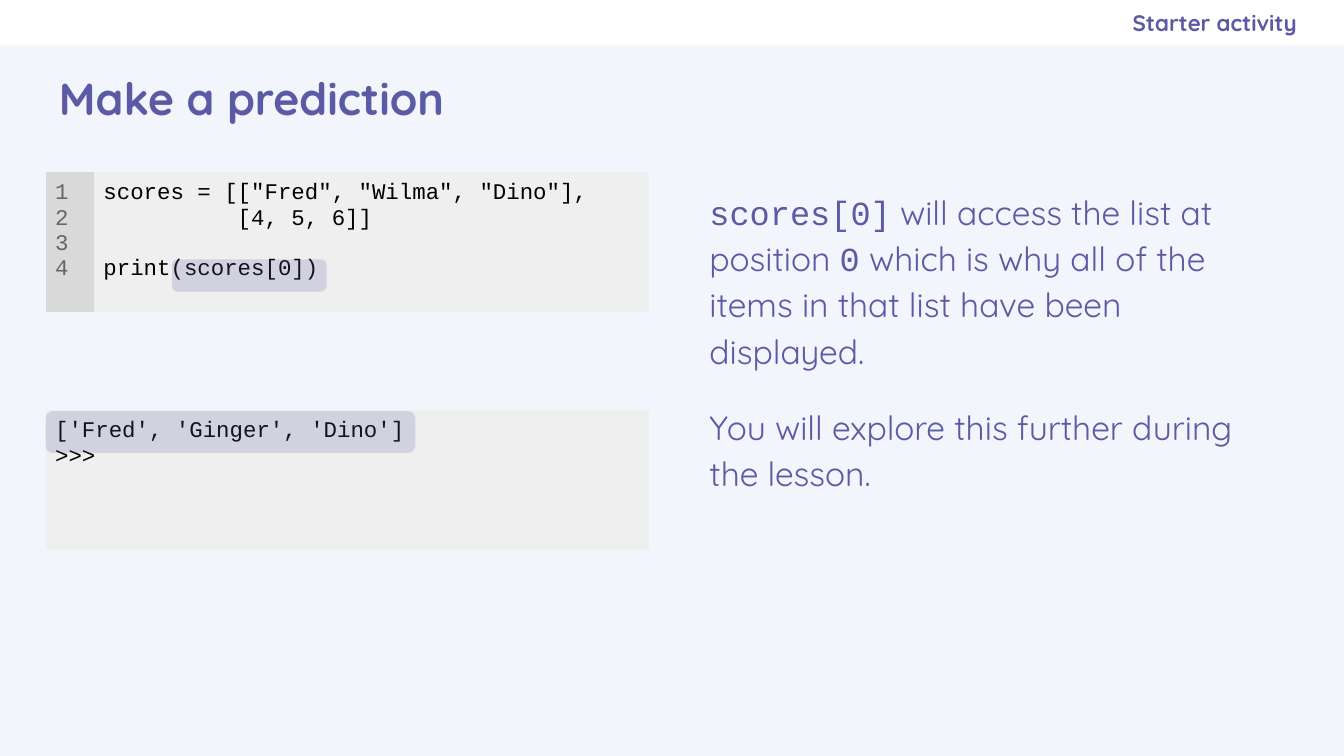
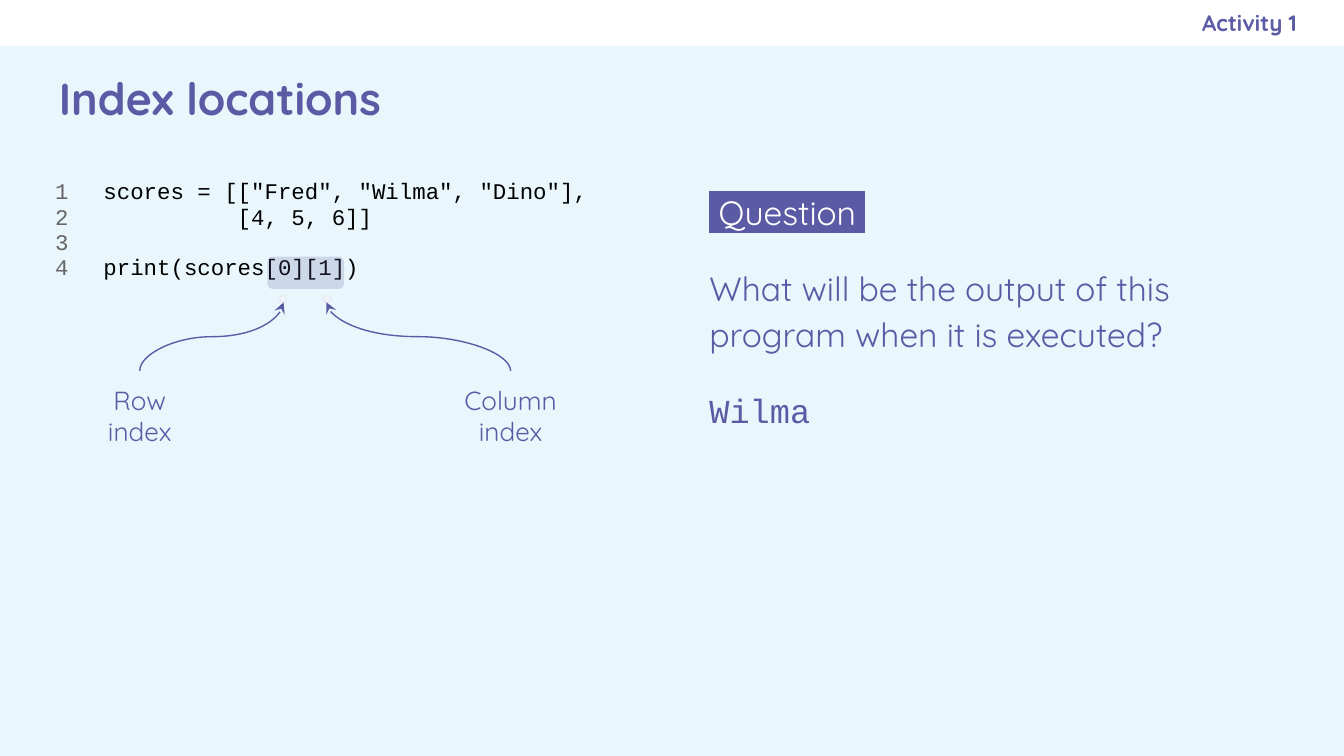
from lxml import etree
from pptx import Presentation
from pptx.dml.color import RGBColor
from pptx.enum import shapes, text
from pptx.oxml import ns
from pptx.util import Emu, Pt

EMU_PER_PX = 9144
PAGE_WIDTH = 1000
NO_GRID_STYLE = "{2D5ABB26-0587-4C30-8999-92F81FD0307C}"
SANS, MONO = "Quicksand", "Courier New"
COLOURS = {
    "purple": "5B5BA5", "white": "FFFFFF", "black": "000000", "number": "666666",
    "gutter": "D9D9D9", "code": "EFEFEF", "lavender": "F2F6FC", "sky": "E9F7FC",
    "ring": "E9E9F3",
}


def px(value):
    return Emu(round(value * EMU_PER_PX))


def rgb(name):
    return RGBColor.from_string(COLOURS[name])


def add_xml(parent, tag, **attributes):
    return etree.SubElement(parent, ns.qn(tag), **attributes)


def format_span(span, font=SANS, size=18, colour="purple", bold=False, highlight=None):
    span.font.name = font
    span.font.size = Pt(size)
    span.font.bold = bold
    span.font.color.rgb = rgb(colour)
    if highlight:
        properties = span.font._element
        mark = etree.Element(ns.qn("a:highlight"))
        add_xml(mark, "a:srgbClr", val=COLOURS[highlight])
        properties.find(ns.qn("a:solidFill")).addnext(mark)


def write(frame, paras, align=None, line=None, gap=0, **style):
    for index, content in enumerate(paras):
        para = frame.add_paragraph() if index else frame.paragraphs[0]
        para.alignment = align
        para.line_spacing = line
        if index and gap:
            para.space_before = Pt(gap)
        if not content:
            end = para._p.get_or_add_endParaRPr()
            end.set("sz", str(style["size"] * 100))
            add_xml(end, "a:latin", typeface=style["font"])
            continue
        for part in [content] if isinstance(content, str) else content:
            words, changes = (part, {}) if isinstance(part, str) else part
            span = para.add_run()
            span.text = words
            format_span(span, **{**style, **changes})


class Lesson:
    def __init__(self):
        self.deck = Presentation()
        self.deck.slide_width = px(PAGE_WIDTH)
        self.deck.slide_height = px(PAGE_WIDTH * 9 / 16)
        self.page = None

    def start_page(self, title, section, background):
        self.page = self.deck.slides.add_slide(self.deck.slide_layouts[6])
        fill = self.page.background.fill
        fill.solid()
        fill.fore_color.rgb = rgb(background)
        self.shape("RECTANGLE", 0, 0, PAGE_WIDTH, 34, "white")
        middle = text.MSO_ANCHOR.MIDDLE
        self.text([title], 34, 35, 932, 76, anchor=middle, size=24, bold=True)
        self.text([section], 575, 0, 390, 34, anchor=middle, right=0,
                  align=text.PP_ALIGN.RIGHT, size=12, bold=True)

    def text(self, paras, left, top, width, height, anchor=text.MSO_ANCHOR.TOP, right=10, **style):
        box = self.page.shapes.add_textbox(px(left), px(top), px(width), px(height))
        frame = box.text_frame
        frame.word_wrap = True
        frame.vertical_anchor = anchor
        frame.margin_left = frame.margin_top = frame.margin_bottom = px(10)
        frame.margin_right = px(right)
        write(frame, paras, **style)

    def body(self, paras):
        self.text(paras, 518, 128, 448, 400, line=1.15, gap=16)

    def shape(self, kind, left, top, width, height, fill, line=None):
        shape = self.page.shapes.add_shape(
            shapes.MSO_SHAPE[kind], px(left), px(top), px(width), px(height))
        shape.shadow.inherit = False
        shape.fill.solid()
        shape.fill.fore_color.rgb = rgb(fill)
        if line:
            shape.line.color.rgb = rgb(line)
            shape.line.width = Pt(0.75)
        else:
            shape.line.fill.background()
        return shape

    def marker(self, left, top, width, height):
        shape = self.shape("ROUNDED_RECTANGLE", left, top, width, height, "purple")
        colour = shape._element.spPr.find(ns.qn("a:solidFill"))[0]
        add_xml(colour, "a:alpha", val="20000")

    def table(self, top, cells):
        grid = self.page.shapes.add_table(1, 2, px(34), px(top), px(449), px(104)).table
        grid.first_row = grid.horz_banding = False
        grid._tbl.tblPr.find(ns.qn("a:tableStyleId")).text = NO_GRID_STYLE
        grid.columns[0].width, grid.columns[1].width = px(36), px(413)
        if len(cells) == 1:
            grid.cell(0, 0).merge(grid.cell(0, 1))
        for column, (lines, colour, fill) in enumerate(cells):
            cell = grid.cell(0, column)
            cell.margin_left = cell.margin_right = cell.margin_top = cell.margin_bottom = px(7)
            if fill:
                cell.fill.solid()
                cell.fill.fore_color.rgb = rgb(fill)
            else:
                cell.fill.background()
            write(cell.text_frame, lines, font=MONO, size=12, colour=colour)

    def program(self, last_line, gutter=None, fill=None):
        code = ['scores = [["Fred", "Wilma", "Dino"],', "          [4, 5, 6]]", "", last_line]
        numbers = [str(number) for number in range(1, len(code) + 1)]
        self.table(128, [(numbers, "number", gutter), (code, "black", fill)])

    def rising_curve(self, start_x, start_y, end_x, end_y):
        rightward = end_x > start_x
        centre_x, centre_y = (start_x + end_x) / 2, (start_y + end_y) / 2
        reach = (start_y - end_y) / 2 * (1 if rightward else -1)
        spread = abs(end_x - start_x) / 2
        curve = self.page.shapes.add_connector(
            shapes.MSO_CONNECTOR.CURVE, px(centre_x - reach), px(centre_y - spread),
            px(centre_x + reach), px(centre_y + spread))
        curve.line.color.rgb = rgb("purple")
        curve.line.width = Pt(0.75)
        properties = curve._element.spPr
        properties.find(ns.qn("a:xfrm")).set("rot", str((270 if rightward else 90) * 60000))
        add_xml(properties.find(ns.qn("a:ln")), "a:tailEnd", type="stealth")
        add_xml(properties, "a:effectLst")


def build_prediction(lesson):
    lesson.start_page("Make a prediction", "Starter activity", "lavender")
    mono = {"font": MONO}
    lesson.body([
        [("scores[0]", mono), " will access the list at position ", ("0", mono),
         " which is why all of the items in that list have been displayed."],
        "You will explore this further during the lesson.",
    ])
    lesson.program("print(scores[0])", "gutter", "code")
    lesson.table(305, [(["['Fred', 'Ginger', 'Dino']", ">>>"], "black", "code")])
    lesson.marker(34, 306, 275, 31)
    lesson.marker(128, 193, 115, 24)


def build_index_locations(lesson):
    lesson.start_page("Index locations", "Activity 1", "sky")
    lesson.program("print(scores[0][1])")
    lesson.body([
        [(" Question ", {"colour": "white", "highlight": "purple"})],
        "What will be the output of this program when it is executed?",
        [("Wilma", {"font": MONO})],
    ])
    lesson.marker(199, 191, 57, 24)
    labels = (("Row", 64, 80, 88, 208, 211), ("Column", 312, 136, 76, 241, 243))
    for name, left, width, height, dot, tip in labels:
        lesson.text([name, "index"], left, 276, width, height,
                    align=text.PP_ALIGN.CENTER, size=14)
        lesson.shape("OVAL", dot, 220, 5, 5, "lavender", "ring")
        lesson.rising_curve(left + width / 2, 276, tip, 225)


def main():
    lesson = Lesson()
    build_prediction(lesson)
    build_index_locations(lesson)
    lesson.deck.save("out.pptx")


if __name__ == "__main__":
    main()
